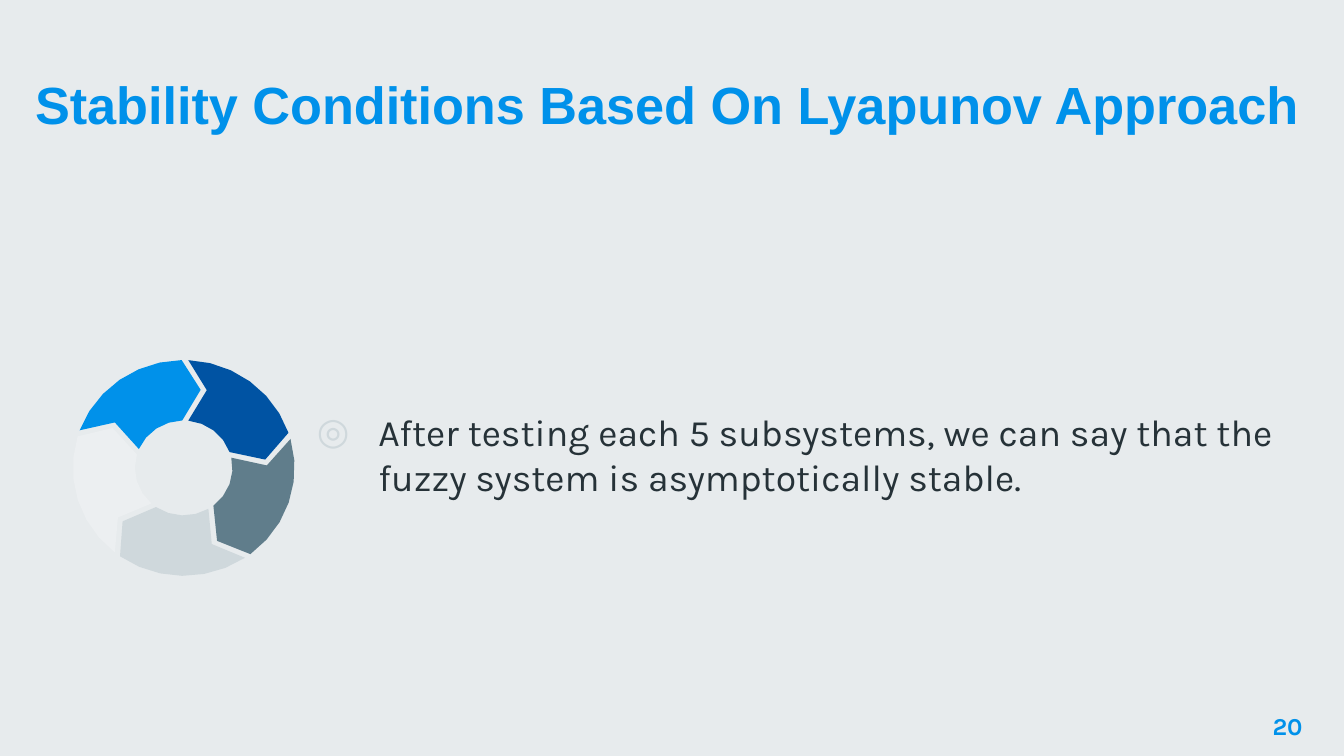
"""Build the stability conditions slide with its five-part cycle diagram."""
import math

import pptx
import pptx.util
import pptx.dml.color
import pptx.enum.shapes
import pptx.enum.text
import pptx.oxml
import pptx.oxml.ns

Pt = pptx.util.Pt
ALIGN = pptx.enum.text.PP_ALIGN
ANCHOR = pptx.enum.text.MSO_ANCHOR

COLORS = {
    "pale": "ECEFF1",
    "silver": "CFD8DC",
    "slate": "607D8B",
    "navy": "0053A3",
    "blue": "0091EA",
    "ink": "263238",
}
WIDTH, HEIGHT = 720, 405
CENTER = (98.4, 250.7)
RADII = (59.4, 57.8)
STEP = 72
CYCLE = ["navy", "slate", "silver", "pale", "blue"]


def rgb(name):
    return pptx.dml.color.RGBColor.from_string(COLORS[name])


def fill_shape(sp, color):
    sp.shadow.inherit = False
    sp.fill.solid()
    sp.fill.fore_color.rgb = rgb(color)
    sp.line.fill.background()


def add_backdrop(s):
    sp = s.shapes.add_shape(pptx.enum.shapes.MSO_SHAPE.RECTANGLE,
                            0, 0, Pt(WIDTH), Pt(HEIGHT))
    fill_shape(sp, "silver")
    clr = sp.element.spPr.find(".//" + pptx.oxml.ns.qn("a:srgbClr"))
    clr.append(pptx.oxml.parse_xml(
        f'<a:alpha {pptx.oxml.ns.nsdecls("a")} val="49000"/>'))
    s.slide_layout.shapes.element.insert(2, sp.element)


def place(sp, left, top, width, height):
    sp.left, sp.top, sp.width, sp.height = map(Pt, (left, top, width, height))


def set_text(sp, text, size, color, font="Karla", bold=False,
             align=ALIGN.LEFT, anchor=ANCHOR.TOP, before=0):
    tf = sp.text_frame
    tf.word_wrap = True
    tf.auto_size = pptx.enum.text.MSO_AUTO_SIZE.NONE
    tf.vertical_anchor = anchor
    tf.margin_left = tf.margin_right = tf.margin_top = tf.margin_bottom = Pt(7.2)
    p = tf.paragraphs[0]
    p.alignment = align
    p.space_before = Pt(before)
    r = p.add_run()
    r.text = text
    r.font.name = font
    r.font.size = Pt(size)
    r.font.bold = bold
    r.font.color.rgb = rgb(color)
    return p


def set_bullet(p, char, color, left, indent):
    pPr = p._p.get_or_add_pPr()
    pPr.set("marL", str(Pt(left)))
    pPr.set("indent", str(Pt(indent)))
    ns = pptx.oxml.ns.nsdecls("a")
    for xml in (f'<a:buClr {ns}><a:srgbClr val="{COLORS[color]}"/></a:buClr>',
                f'<a:buFont {ns} typeface="Karla"/>',
                f'<a:buChar {ns} char="{char}"/>'):
        pPr.append(pptx.oxml.parse_xml(xml))


def ring_point(angle, radius):
    a = math.radians(angle)
    return (Pt(CENTER[0] + RADII[0] * radius * math.sin(a)),
            Pt(CENTER[1] - RADII[1] * radius * math.cos(a)))


def arc(start, end, radius, steps):
    return [ring_point(start + (end - start) * i / steps, radius)
            for i in range(steps + 1)]


def add_cycle_part(group, turn, color):
    points = (arc(turn + 2.4, turn + 71, 1, 6)
              + [ring_point(turn + 84, 0.74)]
              + arc(turn + 70.5, turn + 5.5, 0.44, 4)
              + [ring_point(turn + 16.2, 0.75)])
    fb = group.shapes.build_freeform(*points[0])
    fb.add_line_segments(points[1:], close=True)
    fill_shape(fb.convert_to_shape(), color)


def main():
    prs = pptx.Presentation()
    prs.slide_width, prs.slide_height = Pt(WIDTH), Pt(HEIGHT)
    s = prs.slides.add_slide(prs.slide_layouts[0])
    add_backdrop(s)

    title, body = s.shapes.title, s.placeholders[1]
    place(title, 9.4, 24, 695.5, 55.4)
    set_text(title, "Stability Conditions Based On Lyapunov Approach", 28, "blue",
             font="Arial", bold=True, align=ALIGN.CENTER, anchor=ANCHOR.BOTTOM)

    place(body, 159.5, 212.2, 540, 77.8)
    p = set_text(body, "After testing each 5 subsystems, we can say that the "
                 "fuzzy system is asymptotically stable.", 20, "ink", before=6)
    set_bullet(p, "◎", "silver", 36, -33)

    number = s.shapes.add_textbox(0, 0, 0, 0)
    place(number, 661.7, 373.7, 43.2, 31)
    set_text(number, "20", 13, "blue", bold=True, align=ALIGN.RIGHT)

    cycle = s.shapes.add_group_shape()
    for i, color in enumerate(CYCLE):
        add_cycle_part(cycle, i * STEP, color)
    prs.save("out.pptx")


if __name__ == "__main__":
    main()
